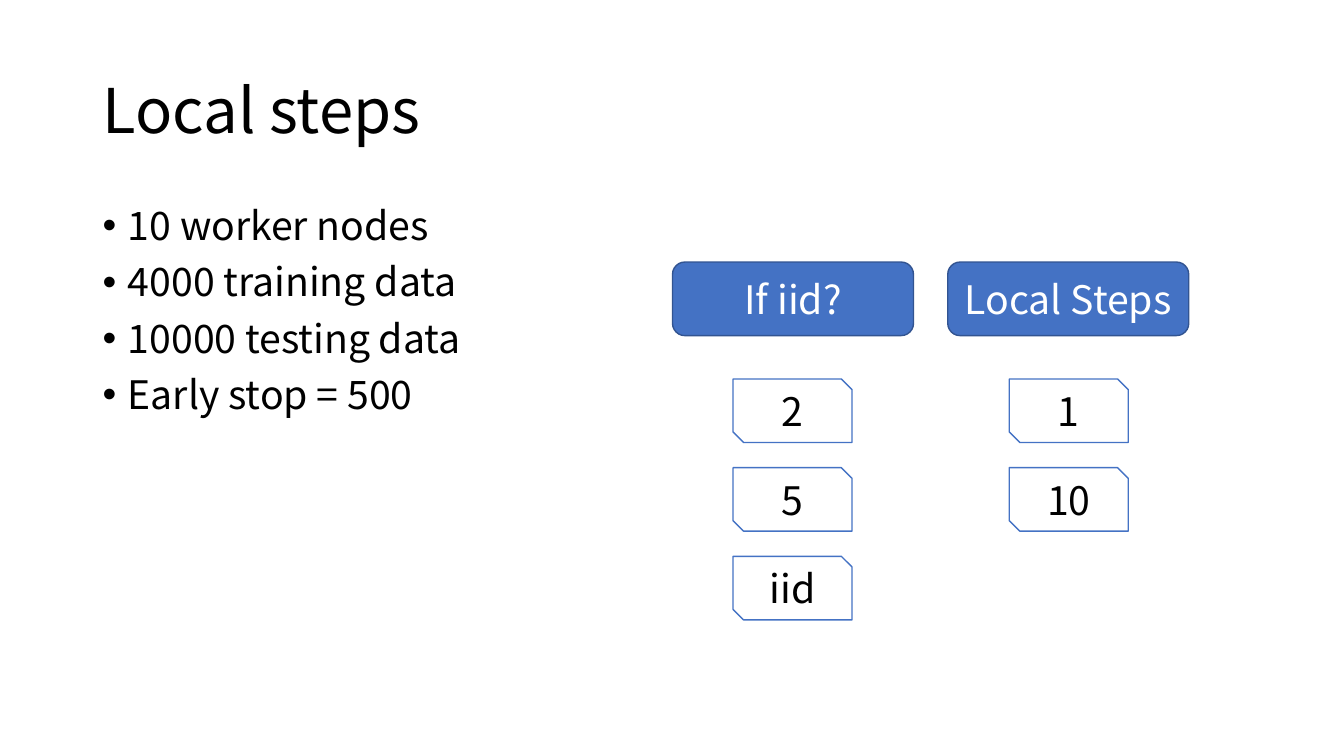
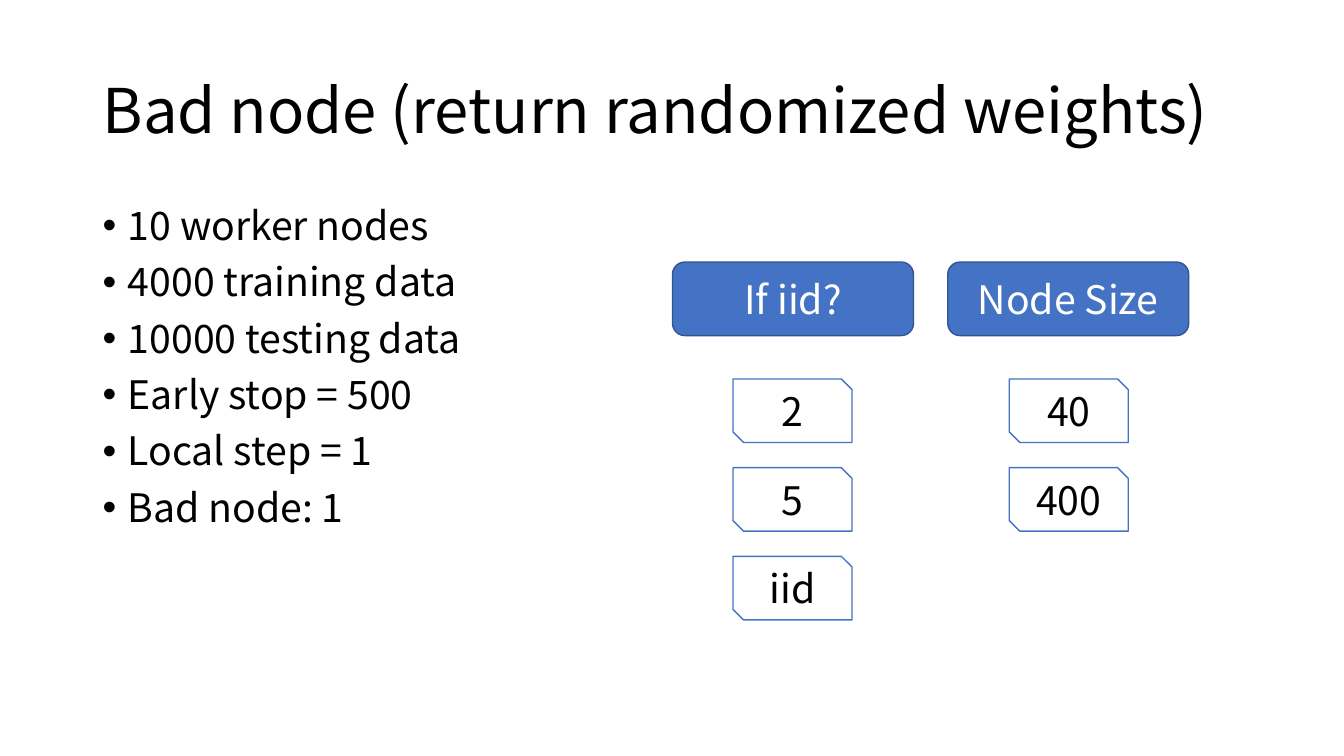
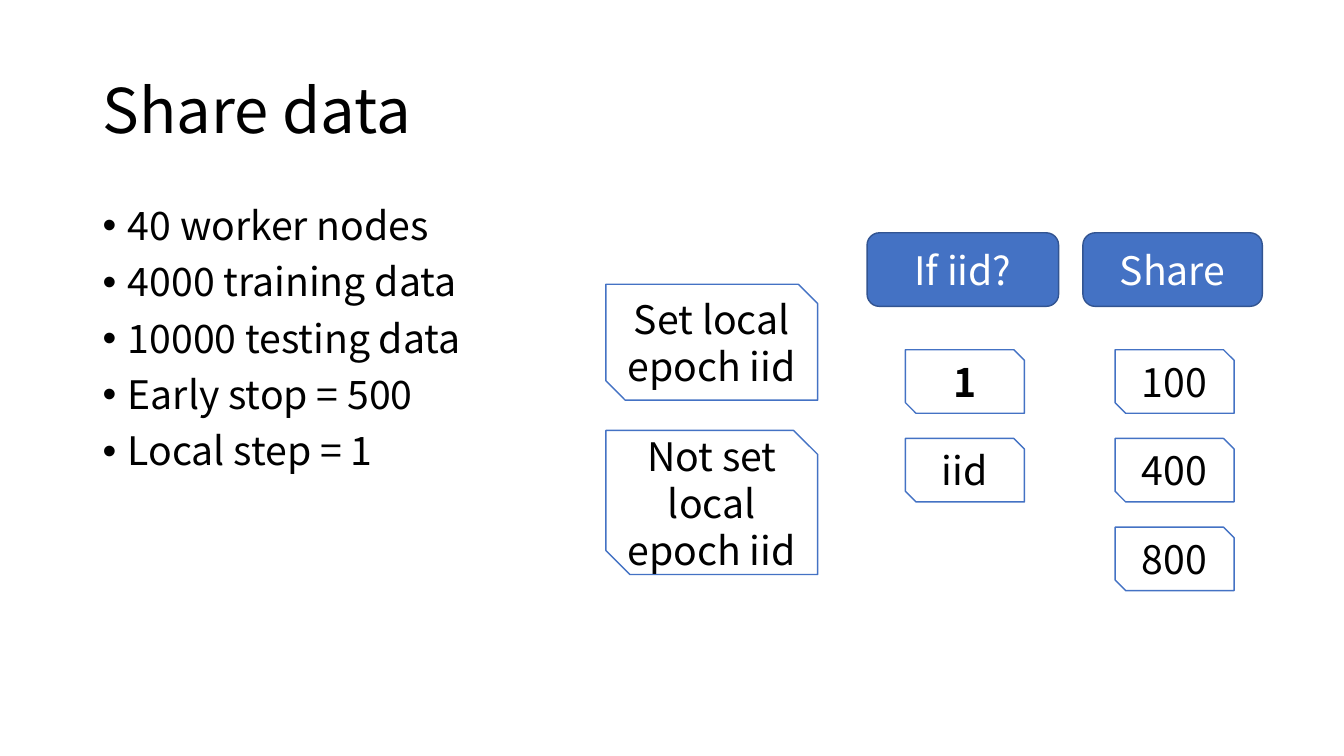
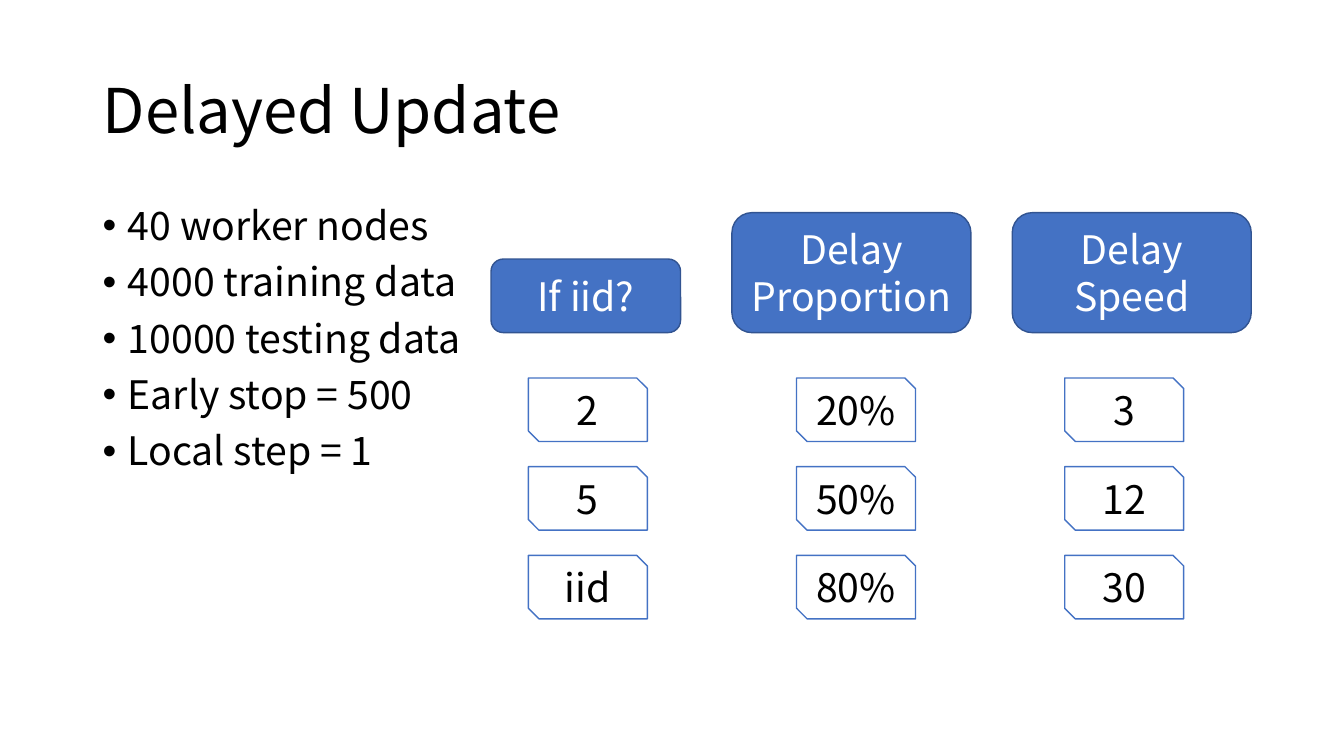
from pptx import Presentation
from pptx.dml.color import RGBColor
from pptx.enum.shapes import MSO_SHAPE
from pptx.enum.text import MSO_ANCHOR, PP_ALIGN
from pptx.oxml.xmlchemy import OxmlElement
from pptx.util import Inches, Pt

W, H = 13.33, 7.5
FONT = "Noto Sans CJK SC"
COLORS = {"text": "000000", "white": "FFFFFF", "blue": "4472C4", "edge": "325491"}
TITLE_SIZE, TEXT_SIZE = 44, 28
MARGIN = 0.92
HEAD_H = 0.73
CARD_W, CARD_H, CARD_STEP = 1.18, 0.63, 0.88
BOX_INSET = 0.08

DATA = ["4000 training data", "10000 testing data", "Early stop = 500"]
BODY = (3.82, 4.76)

# Columns: heading, heading left, width and height, card left, card values
SLIDES = [
    {"title": "Local steps", "body": (4.19, 4.34),
     "bullets": ["10 worker nodes", *DATA],
     "head_bottom": 3.33, "card_top": 3.76,
     "columns": [("If iid?", 6.67, 2.39, HEAD_H, 7.27, ["2", "5", "iid"]),
                 ("Local Steps", 9.4, 2.39, HEAD_H, 10.01, ["1", "10"])]},
    {"title": "Bad node (return randomized weights)", "body": BODY,
     "bullets": ["10 worker nodes", *DATA, "Local step = 1", "Bad node: 1"],
     "head_bottom": 3.33, "card_top": 3.76,
     "columns": [("If iid?", 6.67, 2.39, HEAD_H, 7.27, ["2", "5", "iid"]),
                 ("Node Size", 9.4, 2.39, HEAD_H, 10.01, ["40", "400"])]},
    {"title": "Share data", "body": BODY,
     "bullets": ["40 worker nodes", *DATA, "Local step = 1"],
     "head_bottom": 3.04, "card_top": 3.47, "bold": ["1"],
     "options": [("Set local epoch iid", 2.82, 1.15),
                 ("Not set local epoch iid", 4.27, 1.43)],
     "columns": [("If iid?", 8.6, 1.9, HEAD_H, 8.98, ["1", "iid"]),
                 ("Share", 10.74, 1.78, HEAD_H, 11.06, ["100", "400", "800"])]},
    {"title": "Delayed Update", "body": BODY,
     "bullets": ["40 worker nodes", *DATA, "Local step = 1"],
     "head_bottom": 3.3, "card_top": 3.75,
     "columns": [("If iid?", 4.87, 1.88, HEAD_H, 5.24, ["2", "5", "iid"]),
                 ("Delay Proportion", 7.26, 2.37, 1.19, 7.9, ["20%", "50%", "80%"]),
                 ("Delay Speed", 10.04, 2.37, 1.19, 10.56, ["3", "12", "30"])]},
]


def add_text(s, lines, box, size, anchor, bullet=False):
    """Add a wrapped text box with one paragraph per line."""
    tf = s.shapes.add_textbox(*map(Inches, box)).text_frame
    tf.word_wrap = True
    tf.vertical_anchor = anchor
    for i, line in enumerate(lines):
        p = tf.add_paragraph() if i else tf.paragraphs[0]
        p.line_spacing = 0.9
        if bullet:
            p.space_before = Pt(10)
            pPr = p._p.get_or_add_pPr()
            pPr.set("marL", str(Inches(0.25)))
            pPr.set("indent", str(-Inches(0.25)))
            bu_font = OxmlElement("a:buFont")
            bu_font.set("typeface", "Arial")
            bu_char = OxmlElement("a:buChar")
            bu_char.set("char", "•")
            pPr.extend([bu_font, bu_char])
        r = p.add_run()
        r.text = line
        r.font.name, r.font.size = FONT, Pt(size)
        r.font.color.rgb = RGBColor.from_string(COLORS["text"])


def add_box(s, text, box, heading=False, bold=False):
    """Add a blue rounded heading or a white card with snipped corners."""
    kind = MSO_SHAPE.ROUNDED_RECTANGLE if heading else MSO_SHAPE.SNIP_2_DIAG_RECTANGLE
    fill, line, ink = ("blue", "edge", "white") if heading else ("white", "blue", "text")
    sp = s.shapes.add_shape(kind, *map(Inches, box))
    sp.shadow.inherit = False
    sp.fill.solid()
    sp.fill.fore_color.rgb = RGBColor.from_string(COLORS[fill])
    sp.line.color.rgb = RGBColor.from_string(COLORS[line])
    sp.line.width = Pt(1)
    tf = sp.text_frame
    tf.word_wrap = True
    tf.margin_left = tf.margin_right = Inches(BOX_INSET)
    tf.vertical_anchor = MSO_ANCHOR.MIDDLE
    p = tf.paragraphs[0]
    p.alignment = PP_ALIGN.CENTER
    r = p.add_run()
    r.text = text
    r.font.name, r.font.size = FONT, Pt(TEXT_SIZE)
    r.font.color.rgb = RGBColor.from_string(COLORS[ink])
    if bold:
        r.font.bold = True


prs = Presentation()
prs.slide_width, prs.slide_height = Inches(W), Inches(H)

for item in SLIDES:
    s = prs.slides.add_slide(prs.slide_layouts[6])
    add_text(s, [item["title"]], (MARGIN, 0.4, 11.5, 1.45), TITLE_SIZE, MSO_ANCHOR.MIDDLE)
    add_text(s, item["bullets"], (MARGIN, 2, *item["body"]), TEXT_SIZE,
             MSO_ANCHOR.TOP, bullet=True)

    for text, top, height in item.get("options", []):
        add_box(s, text, (6.01, top, 2.1, height))

    for heading, left, width, height, card_left, values in item["columns"]:
        add_box(s, heading, (left, item["head_bottom"] - height, width, height), heading=True)
        for row, value in enumerate(values):
            top = item["card_top"] + row * CARD_STEP
            add_box(s, value, (card_left, top, CARD_W, CARD_H),
                    bold=value in item.get("bold", []))

prs.save("out.pptx")
